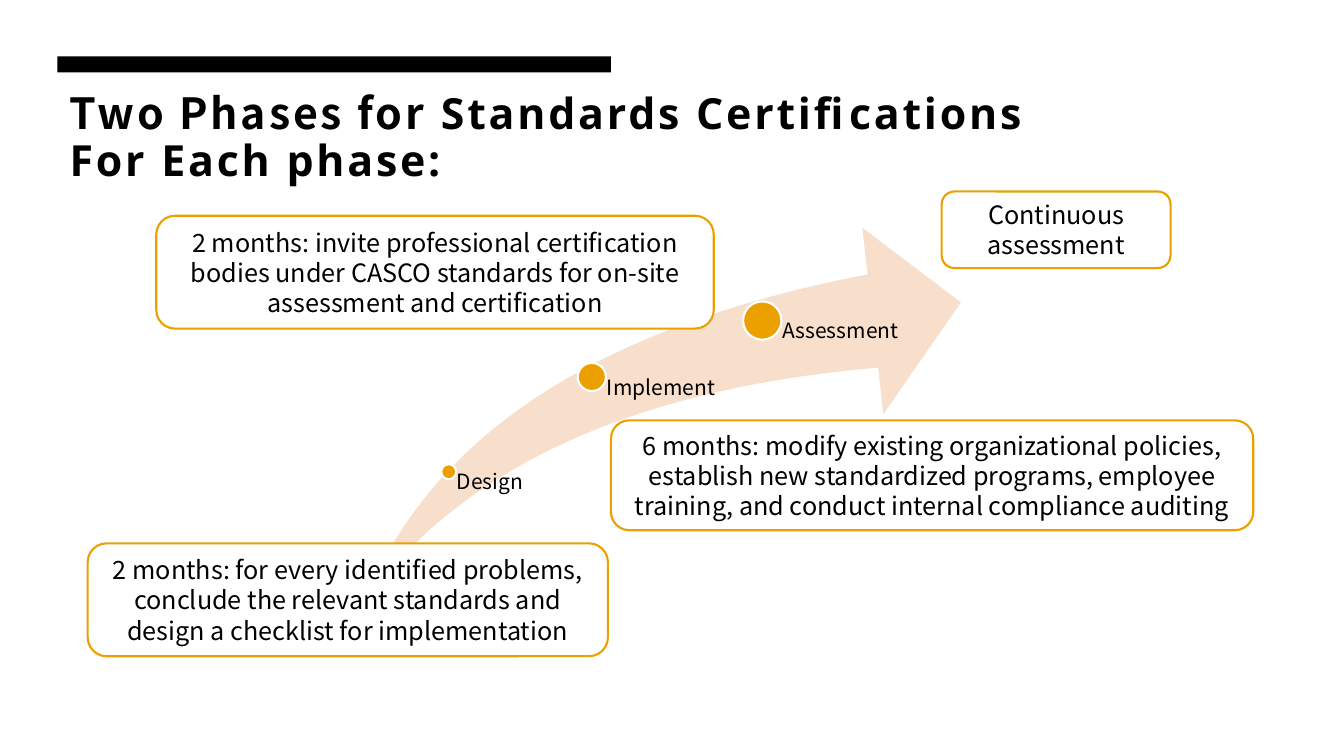
from pptx import Presentation
from pptx import util as u
from pptx.dml.color import RGBColor
from pptx.enum import shapes, text

COLORS = {"ink": "000000", "paper": "FFFFFF", "amber": "EBA000", "peach": "F7DFCC"}
BODY_FONT, TITLE_FONT = "Noto Sans CJK SC", "Open Sans"
SHAPE = shapes.MSO_SHAPE

deck = Presentation()
deck.slide_width, deck.slide_height = u.Inches(13.33), u.Inches(7.5)
slide = deck.slides.add_slide(deck.slide_layouts[6])


def add_outline(kind, place, fill, line=None):
    shape = slide.shapes.add_shape(kind, *map(u.Inches, place))
    shape.shadow.inherit = False
    shape.fill.solid()
    shape.fill.fore_color.rgb = RGBColor.from_string(COLORS[fill])
    if line:
        shape.line.color.rgb = RGBColor.from_string(COLORS[line])
        shape.line.width = u.Pt(1.5)
    else:
        shape.line.fill.background()
    return shape


def write(holder, runs, size, frame_format, paragraph_format, bold=False):
    """Fill a shape with one paragraph of (words, font name) runs."""
    frame = holder.text_frame
    frame.word_wrap = True
    for name, value in frame_format.items():
        setattr(frame, name, value)
    paragraph = frame.paragraphs[0]
    for name, value in paragraph_format.items():
        setattr(paragraph, name, value)
    for words, font_name in runs:
        for i, part in enumerate(words.split("\n")):
            if i:
                paragraph.add_line_break()
            run = paragraph.add_run()
            run.text = part
            for name, value in {"name": font_name, "size": u.Pt(size), "bold": bold}.items():
                setattr(run.font, name, value)
            run.font.color.rgb = RGBColor.from_string(COLORS["ink"])
    return paragraph


# Heading
add_outline(SHAPE.RECTANGLE, (0.57, 0.56, 5.49, 0.16), "ink")
heading = slide.shapes.add_textbox(*map(u.Inches, (0.57, 0.8, 12.02, 0.62)))
heading_line = write(
    heading,
    [("Two Phases for", BODY_FONT), (" Standards Certifications\nFor Each phase:", TITLE_FONT)],
    30.6,
    {"margin_left": u.Inches(0.12), "margin_right": u.Inches(0.12),
     "margin_top": u.Inches(0.12), "margin_bottom": u.Inches(0.1)},
    {"line_spacing": 0.9}, bold=True)
for run in heading_line.runs:
    run.font._element.set("spc", "200")

# Rising arrow with its three milestones
swoosh = add_outline(SHAPE.SWOOSH_ARROW, (3.62, 2.26, 5.91, 3.7), "peach")
swoosh.adjustments[0] = swoosh.adjustments[1] = 0.25

LABEL_BOTTOM = 5.75
milestones = [
    # label, centre x, centre y, dot diameter, label inset
    ("Design", 4.45, 4.68, 0.15, 0.08),
    ("Implement", 5.87, 3.74, 0.28, 0.15),
    ("Assessment", 7.56, 3.18, 0.38, 0.2),
]
for label, x, y, dot, inset in milestones:
    add_outline(SHAPE.OVAL, (x - dot / 2, y - dot / 2, dot, dot), "amber", "paper")
    caption = slide.shapes.add_textbox(*map(u.Inches, (x, y, 1.42, LABEL_BOTTOM - y)))
    write(caption, [(label, BODY_FONT)], 15,
          {"margin_left": u.Inches(inset), "margin_right": 0, "margin_top": 0, "margin_bottom": 0},
          {"line_spacing": 0.9})

# Time frames
time_frames = [
    ((0.87, 5.39, 5.16, 1.12),
     "2 months: for every identified problems, conclude the relevant standards "
     "and design a checklist for implementation"),
    ((6.06, 4.17, 6.37, 1.09),
     "6 months: modify existing organizational policies, establish new standardized "
     "programs, employee training, and conduct internal compliance auditing"),
    ((1.55, 2.14, 5.53, 1.12),
     "2 months: invite professional certification bodies under CASCO standards "
     "for on-site assessment and certification"),
    ((9.34, 1.9, 2.27, 0.76), "Continuous assessment"),
]
for place, words in time_frames:
    card = add_outline(SHAPE.ROUNDED_RECTANGLE, place, "paper", "amber")
    write(card, [(words, BODY_FONT)], 18,
          {"vertical_anchor": text.MSO_ANCHOR.MIDDLE},
          {"alignment": text.PP_ALIGN.CENTER})

deck.save("out.pptx")
